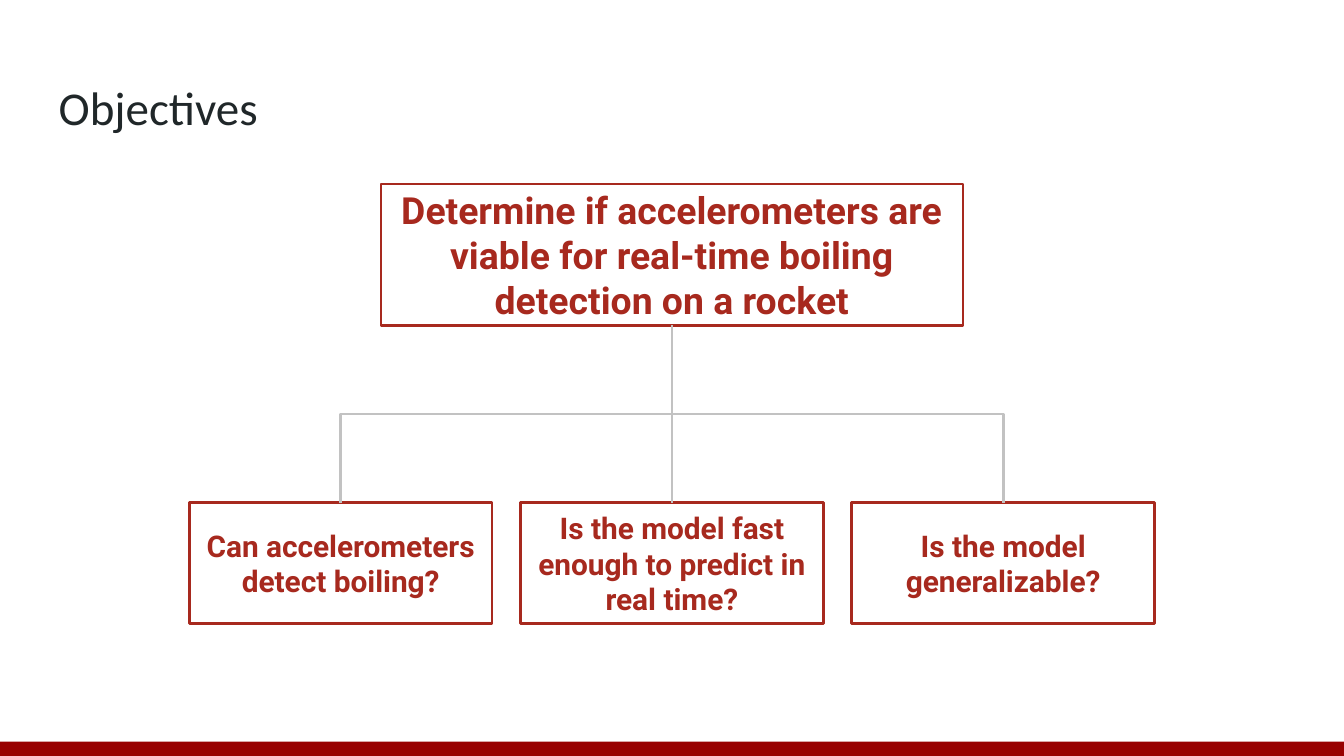
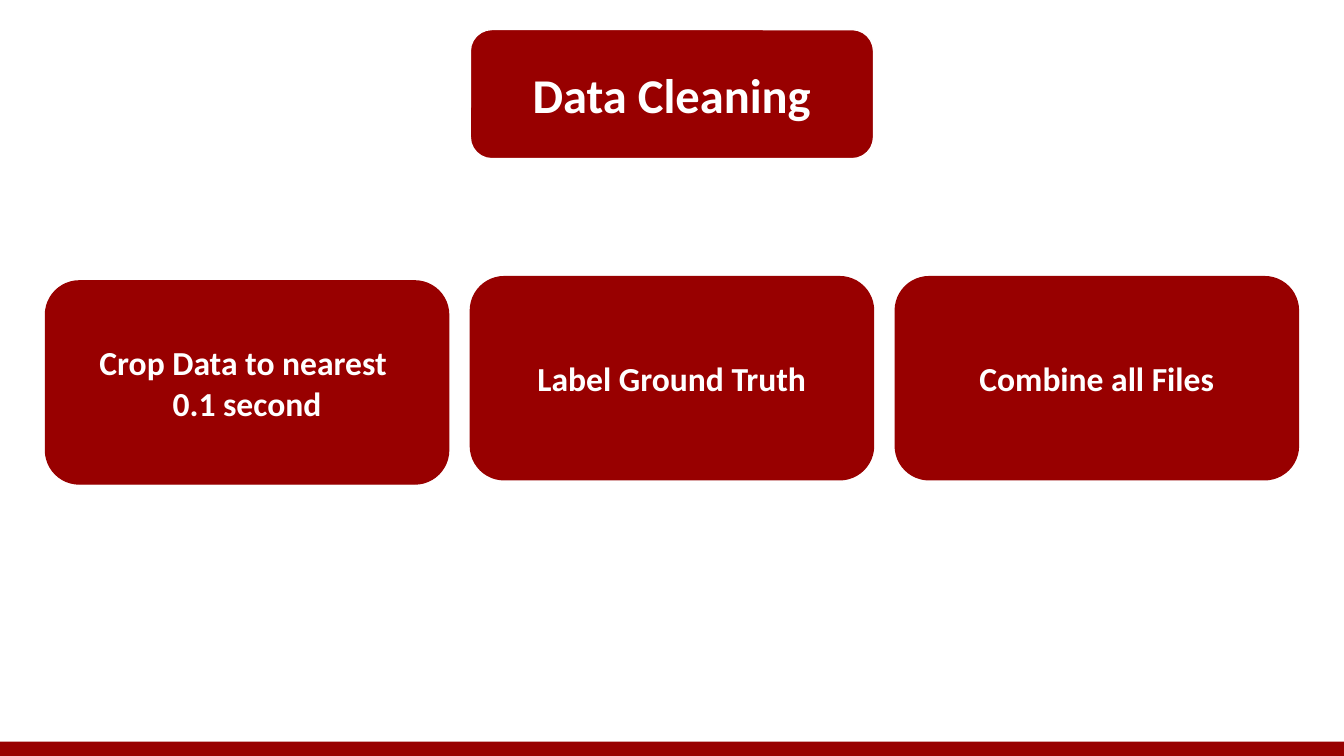
"""Builds two slides: an objectives tree and the data cleaning steps."""
from dataclasses import dataclass

from pptx import Presentation
from pptx.dml.color import RGBColor as Color
from pptx.enum.shapes import MSO_CONNECTOR as Link, MSO_SHAPE as Shape
from pptx.enum.text import MSO_ANCHOR as Anchor, PP_ALIGN as Align
from pptx.oxml.xmlchemy import OxmlElement
from pptx.util import Cm, Pt

TOP, BOTTOM = 0, 2


@dataclass(frozen=True)
class Theme:
    """Colours, fonts, type sizes and line widths of the deck."""
    crimson: Color = Color(0x98, 0x00, 0x00)
    brick: Color = Color(0xA7, 0x29, 0x1E)
    ink: Color = Color(0x20, 0x27, 0x29)
    grey: Color = Color(0xC2, 0xC2, 0xC2)
    white: Color = Color(0xFF, 0xFF, 0xFF)
    plain_font: str = "Calibri"
    tree_font: str = "Roboto"
    title_size: float = 25.2
    heading_size: float = 26
    goal_size: float = 20
    step_size: float = 18
    question_size: float = 16
    tree_line: float = 1.5
    card_line: float = 0.75
    slide_width: float = 25.4
    slide_height: float = 14.29
    band_height: float = 0.27
    inset: float = 0.25


THEME = Theme()


def write(box, lines, font, size, color, bold=True, align=Align.CENTER, anchor=Anchor.MIDDLE):
    """Fill a box with one paragraph per line."""
    frame = box.text_frame
    frame.word_wrap = True
    frame.vertical_anchor = anchor
    frame.margin_left = frame.margin_right = Cm(THEME.inset)
    frame.margin_top = frame.margin_bottom = Cm(THEME.inset)
    for index, line in enumerate(lines):
        para = frame.add_paragraph() if index else frame.paragraphs[0]
        para.alignment = align
        span = para.add_run()
        span.text = line
        span.font.name = font
        span.font.size = Pt(size)
        span.font.bold = bold
        span.font.color.rgb = color


def add_box(page, kind, place, fill=None, line=None, line_width=0):
    """Add a flat preset shape with optional fill and outline."""
    box = page.shapes.add_shape(kind, *map(Cm, place))
    box.shadow.inherit = False
    if fill is None:
        box.fill.background()
    else:
        box.fill.solid()
        box.fill.fore_color.rgb = fill
    if line is None:
        box.line.fill.background()
    else:
        box.line.color.rgb = line
        box.line.width = Pt(line_width)
    return box


def add_page(deck):
    """Add a blank page with the band along its foot."""
    page = deck.slides.add_slide(deck.slide_layouts[6])
    band_top = THEME.slide_height - THEME.band_height
    add_box(page, Shape.RECTANGLE, (0, band_top, THEME.slide_width, THEME.band_height),
            THEME.crimson)
    return page


def add_title(page, text):
    """Add the page title."""
    box = page.shapes.add_textbox(Cm(0.86), Cm(1.24), Cm(23.68), Cm(1.6))
    write(box, [text], THEME.plain_font, THEME.title_size, THEME.ink,
          bold=False, align=Align.LEFT, anchor=Anchor.TOP)


def add_node(page, place, text, size):
    """Add an outlined box of the tree."""
    box = add_box(page, Shape.RECTANGLE, place, line=THEME.brick, line_width=THEME.tree_line)
    write(box, [text], THEME.tree_font, size, THEME.brick)
    return box


def add_card(page, place, lines, size, line=THEME.crimson):
    """Add a filled, rounded card."""
    box = add_box(page, Shape.FLOWCHART_ALTERNATE_PROCESS, place,
                  THEME.crimson, line, THEME.card_line)
    write(box, lines, THEME.plain_font, size, THEME.white)


def add_link(page, kind, parent, child):
    """Join the foot of a parent to the head of a child."""
    link = page.shapes.add_connector(kind, 0, 0, 0, 0)
    link.begin_connect(parent, BOTTOM)
    link.end_connect(child, TOP)
    link.line.color.rgb = THEME.grey
    link.line.width = Pt(THEME.tree_line)
    link._element.spPr.append(OxmlElement("a:effectLst"))
    return link


def add_elbow(page, parent, child):
    """Join two boxes by an elbow that leaves and arrives vertically."""
    link = add_link(page, Link.ELBOW, parent, child)
    start_x, end_x = (box.left + box.width // 2 for box in (parent, child))
    start_y, end_y = parent.top + parent.height, child.top
    rise, run = end_y - start_y, abs(end_x - start_x)
    link.left = (start_x + end_x - rise) // 2
    link.top = (start_y + end_y - run) // 2
    link.width, link.height = rise, run
    rightward = end_x > start_x
    frame = link._element.spPr.find("{*}xfrm")
    frame.set("rot", str((270 if rightward else 90) * 60000))
    frame.set("flipH", "1" if rightward else "0")
    frame.set("flipV", "0")


def row_lefts(count, width, gap):
    """Return the left edges of a row centred on the page."""
    start = (THEME.slide_width - count * width - (count - 1) * gap) / 2
    return [start + index * (width + gap) for index in range(count)]


def build_objectives(deck):
    """Build the tree of one goal and three questions."""
    page = add_page(deck)
    add_title(page, "Objectives")
    goal = add_node(page, (7.2, 3.48, 11, 2.67),
                    "Determine if accelerometers are viable for real-time boiling "
                    "detection on a rocket", THEME.goal_size)
    questions = ["Can accelerometers detect boiling?",
                 "Is the model fast enough to predict in real time?",
                 "Is the model generalizable?"]
    width = 5.72
    left, middle, right = [
        add_node(page, (x, 9.5, width, 2.29), text, THEME.question_size)
        for x, text in zip(row_lefts(3, width, 0.54), questions)]
    add_elbow(page, goal, left)
    add_elbow(page, goal, right)
    add_link(page, Link.STRAIGHT, goal, middle)


def build_cleaning(deck):
    """Build the heading card and the three step cards."""
    page = add_page(deck)
    width = 7.62
    steps = [(5.31, ["Crop Data to nearest ", "0.1 second"]),
             (5.23, ["Label Ground Truth"]),
             (5.23, ["Combine all Files"])]
    lefts = row_lefts(3, width, 0.41)
    for x, (top, lines) in zip(lefts, steps):
        add_card(page, (x, top, width, 3.84), lines, THEME.step_size)
    add_card(page, (lefts[1], 0.56, width, 2.44), ["Data Cleaning"],
             THEME.heading_size, THEME.white)


def main():
    """Build and save the deck."""
    deck = Presentation()
    deck.slide_width = Cm(THEME.slide_width)
    deck.slide_height = Cm(THEME.slide_height)
    build_objectives(deck)
    build_cleaning(deck)
    deck.save("out.pptx")


if __name__ == "__main__":
    main()
